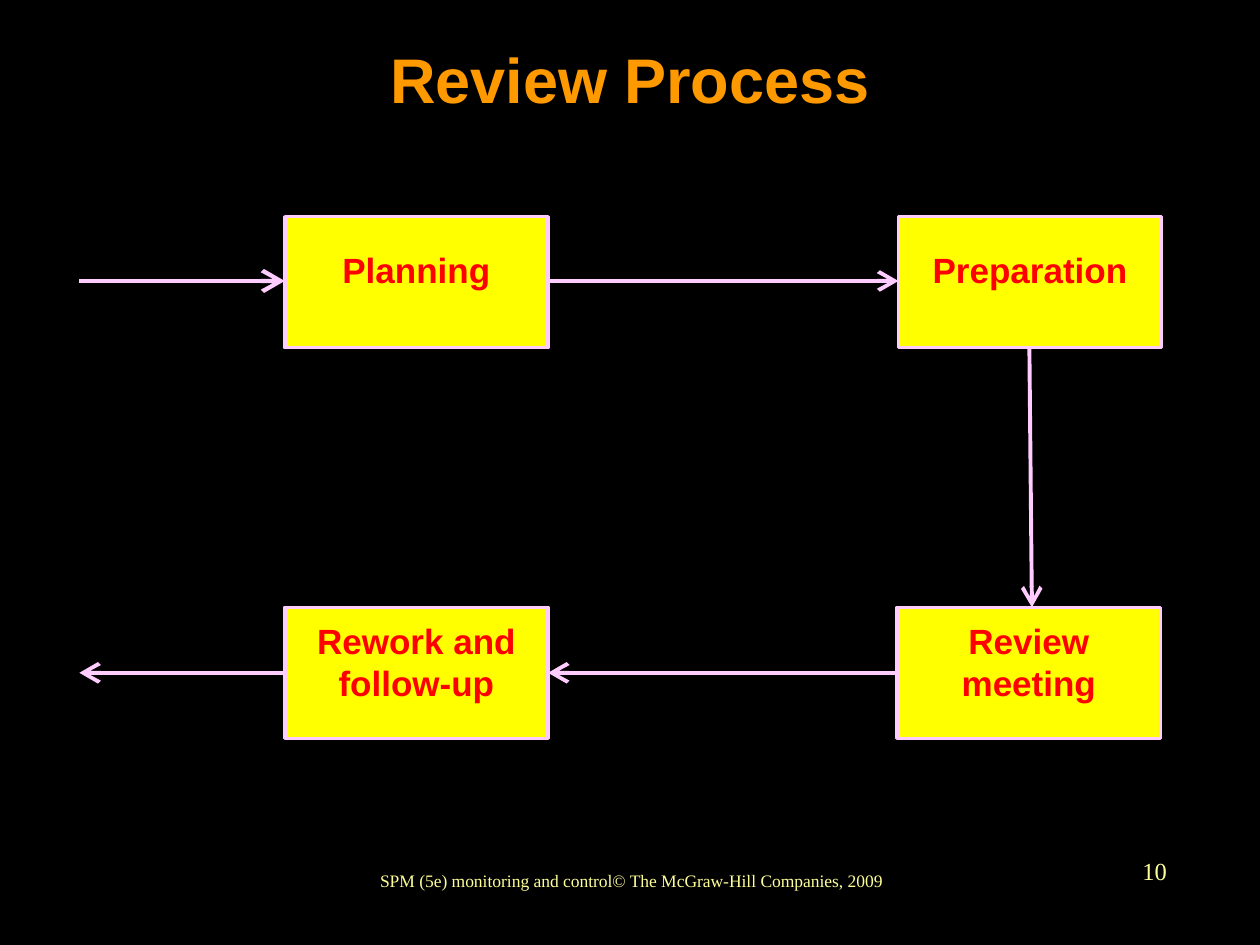
from lxml import etree
from pptx import Presentation
from pptx.dml.color import RGBColor
from pptx.enum.shapes import MSO_CONNECTOR, MSO_SHAPE
from pptx.enum.text import MSO_ANCHOR, PP_ALIGN
from pptx.oxml.ns import qn
from pptx.util import Inches, Pt

RECTANGLE = MSO_SHAPE.RECTANGLE
STRAIGHT = MSO_CONNECTOR.STRAIGHT
TOP, MIDDLE = MSO_ANCHOR.TOP, MSO_ANCHOR.MIDDLE
CENTER, RIGHT = PP_ALIGN.CENTER, PP_ALIGN.RIGHT

COLORS = {
    "background": "000000",
    "title": "FF9900",
    "step": "FFFF00",
    "step_text": "FF0000",
    "line": "FFCCFF",
    "footer": "FFFF99",
}
STEP_WIDTH, STEP_HEIGHT = 2.09, 1.04
LEFT_X, RIGHT_X = 2.26, 7.13
UPPER_Y, LOWER_Y = 1.72, 4.82
STEPS = [
    ("Planning", LEFT_X, UPPER_Y, 0.25),
    ("Preparation", RIGHT_X, UPPER_Y, 0.25),
    ("Review meeting", RIGHT_X - 0.01, LOWER_Y, 0.1),
    ("Rework and follow-up", LEFT_X, LOWER_Y, 0.1),
]
UPPER_FLOW, LOWER_FLOW, OUTER_X = 2.23, 5.34, 0.63
FLOWS = [
    ((OUTER_X, UPPER_FLOW), (LEFT_X, UPPER_FLOW), 2.5),
    ((LEFT_X + STEP_WIDTH, UPPER_FLOW), (RIGHT_X, UPPER_FLOW), 2.25),
    ((8.17, UPPER_Y + STEP_HEIGHT), (8.19, LOWER_Y), 2.25),
    ((RIGHT_X, LOWER_FLOW), (LEFT_X + STEP_WIDTH, LOWER_FLOW), 2.25),
    ((LEFT_X, LOWER_FLOW), (OUTER_X, LOWER_FLOW), 2.25),
]


def color(name):
    """Return the named palette colour."""
    return RGBColor.from_string(COLORS[name])


def write(box, text, size, font, shade, bold=False, align=CENTER,
          anchor=MIDDLE, top=0.05):
    """Put one formatted run of text into a shape."""
    frame = box.text_frame
    frame.word_wrap = True
    frame.vertical_anchor = anchor
    frame.margin_left = frame.margin_right = Inches(0.1)
    frame.margin_top, frame.margin_bottom = Inches(top), Inches(0.05)
    para = frame.paragraphs[0]
    para.alignment = align
    span = para.add_run()
    span.text = text
    span.font.size = Pt(size)
    span.font.name = font
    span.font.bold = bold
    span.font.color.rgb = color(shade)


def add_title(page, text):
    """Place and fill the title placeholder."""
    title = page.shapes.title
    title.left, title.top = Inches(0.75), Inches(0)
    title.width, title.height = Inches(8.5), Inches(1.25)
    write(title, text, 36, "Arial", "title", bold=True)


def add_step(page, text, left, top, inset):
    """Add one process step."""
    box = page.shapes.add_shape(RECTANGLE, Inches(left), Inches(top),
                                Inches(STEP_WIDTH), Inches(STEP_HEIGHT))
    box.shadow.inherit = False
    box.fill.solid()
    box.fill.fore_color.rgb = color("step")
    box.line.color.rgb = color("line")
    box.line.width = Pt(2)
    write(box, text, 20, "Arial", "step_text", bold=True, anchor=TOP, top=inset)


def add_flow(page, start, end, width):
    """Add an arrow between two points."""
    arrow = page.shapes.add_connector(STRAIGHT, *map(Inches, start + end))
    arrow.line.color.rgb = color("line")
    arrow.line.width = Pt(width)
    outline = arrow.line._get_or_add_ln()
    etree.SubElement(outline, qn("a:tailEnd"), type="arrow", w="lg", len="lg")
    etree.SubElement(arrow._element.spPr, qn("a:effectLst"))


def add_footer(page, text, left, top, width, size, align):
    """Add a line of footer text."""
    box = page.shapes.add_textbox(Inches(left), Inches(top),
                                  Inches(width), Inches(0.5))
    write(box, text, size, "Times New Roman", "footer", align=align)


def main():
    """Build the review process slide."""
    deck = Presentation()
    deck.slide_width, deck.slide_height = Inches(10), Inches(7.5)
    page = deck.slides.add_slide(deck.slide_layouts[5])
    page.background.fill.solid()
    page.background.fill.fore_color.rgb = color("background")
    add_footer(page, "SPM (5e) monitoring and control© The McGraw-Hill Companies, 2009",
               2.86, 6.74, 4.3, 10, CENTER)
    add_footer(page, "10", 7.28, 6.66, 2.08, 14, RIGHT)
    add_title(page, "Review Process")
    for step in STEPS:
        add_step(page, *step)
    for flow in FLOWS:
        add_flow(page, *flow)
    deck.save("out.pptx")


if __name__ == "__main__":
    main()
